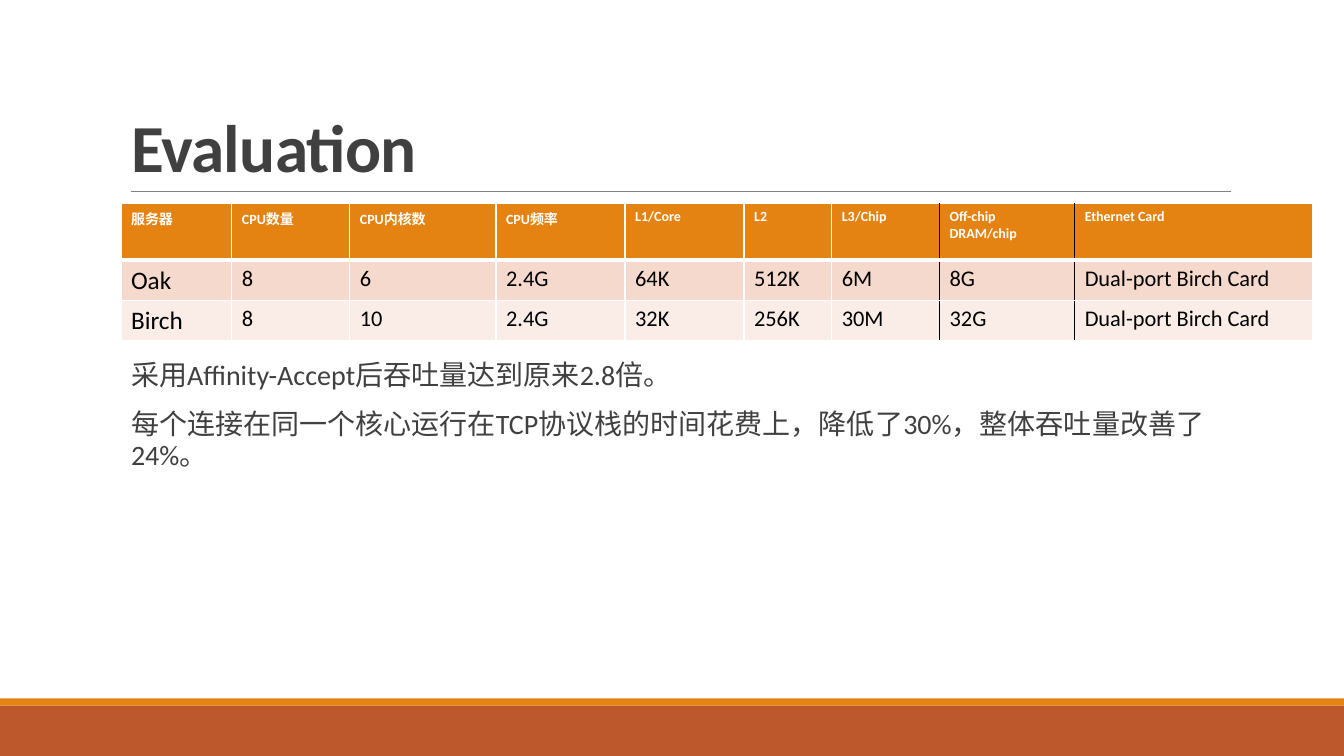
from lxml import etree
from pptx import Presentation
from pptx.dml.color import RGBColor
from pptx.enum.shapes import MSO_CONNECTOR, MSO_SHAPE
from pptx.enum.text import MSO_ANCHOR, MSO_AUTO_SIZE, PP_ALIGN
from pptx.oxml.ns import qn
from pptx.util import Inches, Pt

LINE, RECT = MSO_CONNECTOR.STRAIGHT, MSO_SHAPE.RECTANGLE
BOTTOM, TOP = MSO_ANCHOR.BOTTOM, MSO_ANCHOR.TOP
LEFT, FIXED = PP_ALIGN.LEFT, MSO_AUTO_SIZE.NONE
WIDE, HIGH = 13.33, 7.5
EDGE = 1.2
INSET = 0.1
ORANGE, RUST, WHITE, BLACK, DARK = "E48312", "BD582C", "FFFFFF", "000000", "404040"
FILLS = [ORANGE, "F5D9CC", "FAEDE7"]
COLS = [1.1, 1.17, 1.45, 1.28, 1.18, 0.87, 1.07, 1.34, 2.36]
ROWS = [0.56, 0.4, 0.4]
BLACK_EDGES = (7, 8)
CARD = "Dual-port Birch Card"
CELLS = [
    ["服务器", "CPU数量", "CPU内核数", "CPU频率", "L1/Core", "L2", "L3/Chip",
     "Off-chip\nDRAM/chip", "Ethernet Card"],
    ["Oak", "8", "6", "2.4G", "64K", "512K", "6M", "8G", CARD],
    ["Birch", "8", "10", "2.4G", "32K", "256K", "30M", "32G", CARD],
]
NOTES = [
    "采用Affinity-Accept后吞吐量达到原来2.8倍。",
    "每个连接在同一个核心运行在TCP协议栈的时间花费上，降低了30%，整体吞吐量改善了24%。",
]


def color(code):
    return RGBColor.from_string(code)


def assign(item, values):
    for name, value in values.items():
        setattr(item, name, value)


def style(frame, size, code, bold=False, **para):
    for part in frame.paragraphs:
        assign(part, {"alignment": LEFT, **para})
        for run in part.runs:
            assign(run.font, {"name": "Calibri", "size": Pt(size), "bold": bold})
            run.font.color.rgb = color(code)


def band(slide, box, code):
    bar = slide.shapes.add_shape(RECT, *map(Inches, box))
    bar.shadow.inherit = False
    bar.fill.solid()
    bar.fill.fore_color.rgb = color(code)
    bar.line.fill.background()


def rule(slide, left, right, y):
    line = slide.shapes.add_connector(LINE, *map(Inches, (left, y, right, y)))
    line.line.color.rgb = color("808080")
    line.line.width = Pt(0.5)
    etree.SubElement(line._element.spPr, qn("a:effectLst"))


def heading(slide, box, text):
    title = slide.shapes.title
    assign(title, dict(zip(("left", "top", "width", "height"), map(Inches, box))))
    frame = title.text_frame
    frame.text = text
    assign(frame, {"vertical_anchor": BOTTOM, "auto_size": FIXED, "word_wrap": True})
    style(frame, 48, DARK, True, line_spacing=0.85)
    frame.paragraphs[0].runs[0].font._element.set("spc", "-50")


def border(cell, side, code, width):
    props = cell._tc.get_or_add_tcPr()
    line = etree.SubElement(props, qn("a:ln" + side), w=str(Pt(width)))
    fill = etree.SubElement(line, qn("a:solidFill"))
    etree.SubElement(fill, qn("a:srgbClr"), val=code)


def paint(cell, row, col):
    """Draw the borders, then the fill, as the cell schema orders them."""
    for side, edge in (("L", col), ("R", col + 1)):
        border(cell, side, BLACK if edge in BLACK_EDGES else WHITE, 1)
    for side, edge in (("T", row), ("B", row + 1)):
        border(cell, side, WHITE, 3 if edge == 1 else 1)
    cell.fill.solid()
    cell.fill.fore_color.rgb = color(FILLS[row])


def grid(slide, left, top):
    box = map(Inches, (left, top, sum(COLS), sum(ROWS)))
    table = slide.shapes.add_table(len(ROWS), len(COLS), *box).table
    for col, width in zip(table.columns, COLS):
        col.width = Inches(width)
    for r, height in enumerate(ROWS):
        table.rows[r].height = Inches(height)
        for c, text in enumerate(CELLS[r]):
            cell = table.cell(r, c)
            cell.text = text
            cell.vertical_anchor = TOP
            size = 10 if r == 0 else 18 if c == 0 else 16
            style(cell.text_frame, size, BLACK if r else WHITE, r == 0)
            paint(cell, r, c)


def notes(slide, box):
    frame = slide.shapes.add_textbox(*map(Inches, box)).text_frame
    frame.text = "\n".join(NOTES)
    assign(frame, {"word_wrap": True, "margin_left": 0, "margin_right": 0,
                   "margin_top": 0, "margin_bottom": 0})
    style(frame, 20, DARK, line_spacing=0.9, space_after=Pt(14))


def main():
    deck = Presentation()
    assign(deck, {"slide_width": Inches(WIDE), "slide_height": Inches(HIGH)})
    slide = deck.slides.add_slide(deck.slide_layouts[5])
    band(slide, (0, 7, WIDE, 0.5), RUST)
    band(slide, (0, 6.93, WIDE, 0.07), ORANGE)
    rule(slide, EDGE + INSET, 12.21, 1.9)
    heading(slide, (EDGE, 0.31, 11, 1.59), "Evaluation")
    notes(slide, (EDGE + INSET, 3.58, 11 - INSET, 2.84))
    grid(slide, EDGE, 2.02)
    deck.save("out.pptx")


if __name__ == "__main__":
    main()
